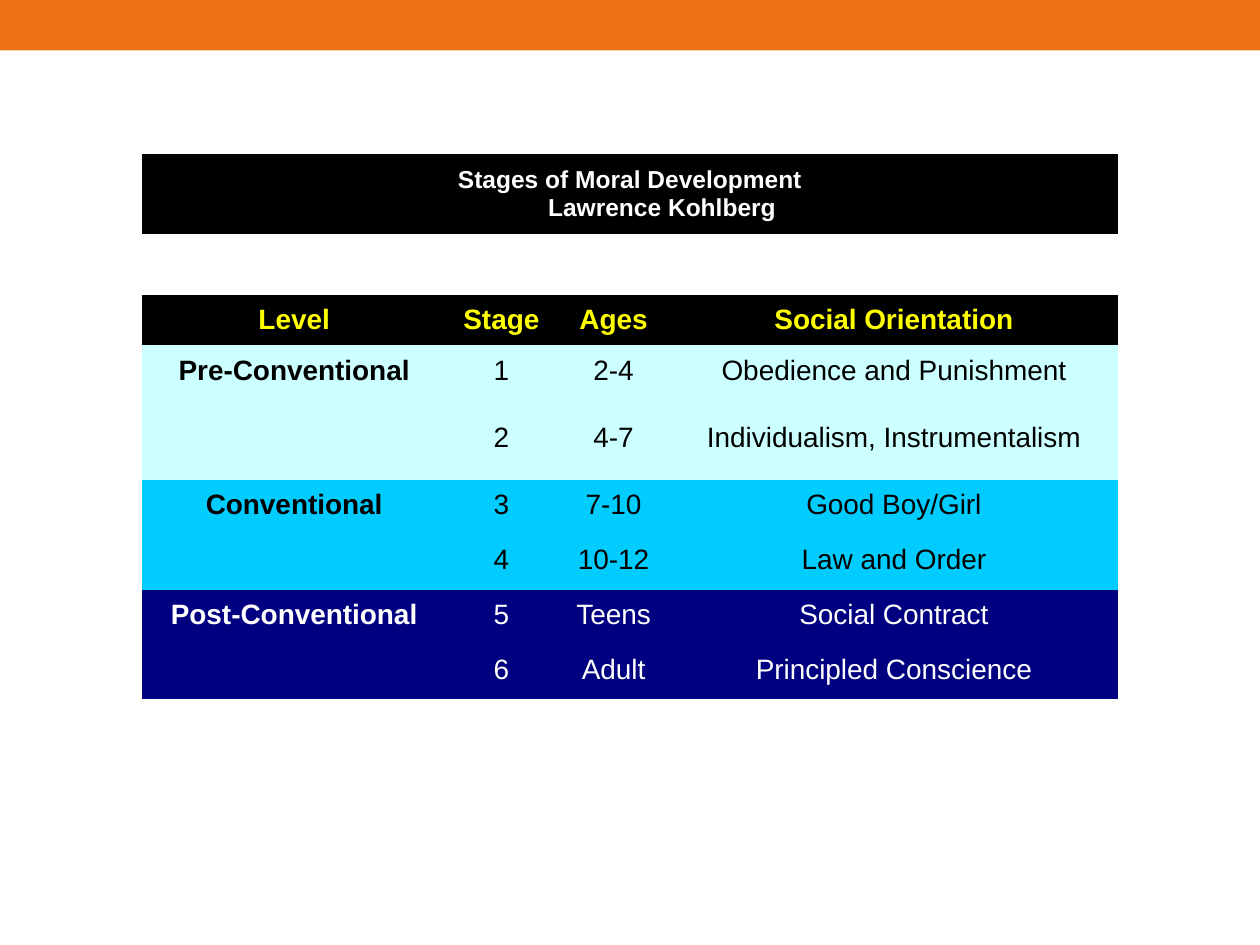
from dataclasses import dataclass

import pptx
import pptx.dml.color
import pptx.enum.shapes
import pptx.enum.text
import pptx.util

Inches = pptx.util.Inches


@dataclass(frozen=True)
class Theme:
    font: str = "Arial"
    title_size: int = 14
    body_size: int = 16
    bar: str = "ED7316"
    black: str = "000000"
    white: str = "FFFFFF"
    heading: str = "FFFF00"
    pre: str = "CCFFFF"
    conventional: str = "00CCFF"
    post: str = "000080"


THEME = Theme()
NO_GRID_STYLE = "{2D5ABB26-0587-4C30-8999-92F81FD0307C}"
COLUMN_WIDTHS = [2.41, 0.88, 0.9, 3.55]
HEADINGS = ["Level", "Stage", "Ages", "Social Orientation"]
BLANK_HEIGHT = 0.48

# Level name, fill, text colour, then its stages as (row height, ages, orientation)
LEVELS = [
    ("Pre-Conventional", THEME.pre, THEME.black,
     [(0.4, "2-4", "Obedience and Punishment"),
      (0.67, "4-7", "Individualism, Instrumentalism")]),
    ("Conventional", THEME.conventional, THEME.black,
     [(0.4, "7-10", "Good Boy/Girl"),
      (0.47, "10-12", "Law and Order")]),
    ("Post-Conventional", THEME.post, THEME.white,
     [(0.4, "Teens", "Social Contract"),
      (0.47, "Adult", "Principled Conscience")]),
]


def rgb(value):
    return pptx.dml.color.RGBColor.from_string(value)


def table_rows():
    """List each row as (height, texts, fill, text colour, size, bold columns)."""
    blank = (BLANK_HEIGHT, [""] * 4, None, THEME.black, THEME.body_size, 0)
    rows = [
        (0.64, ["Stages of Moral Development\vLawrence Kohlberg", "", "", ""],
         THEME.black, THEME.white, THEME.title_size, 4),
        blank,
        (0.4, HEADINGS, THEME.black, THEME.heading, THEME.body_size, 4),
    ]
    stage = 0
    for name, fill, color, stages in LEVELS:
        for index, (height, ages, orientation) in enumerate(stages):
            stage += 1
            texts = [name if index == 0 else "", str(stage), ages, orientation]
            rows.append((height, texts, fill, color, THEME.body_size, 1))
    return rows + [blank]


def format_cell(cell, text, fill, color, size, bold):
    cell.vertical_anchor = pptx.enum.text.MSO_ANCHOR.MIDDLE
    if fill:
        cell.fill.solid()
        cell.fill.fore_color.rgb = rgb(fill)
    else:
        cell.fill.background()
    cell.text = text
    paragraph = cell.text_frame.paragraphs[0]
    paragraph.alignment = pptx.enum.text.PP_ALIGN.CENTER
    # Hanging indent
    properties = paragraph._p.get_or_add_pPr()
    for name, length in {"marL": 0.51, "indent": -0.51}.items():
        properties.set(name, str(Inches(length)))
    values = {"name": THEME.font, "size": pptx.util.Pt(size), "bold": bold}
    for font in [paragraph.font] + [run.font for run in paragraph.runs]:
        for name, value in values.items():
            setattr(font, name, value)
        font.color.rgb = rgb(color)


def add_top_bar(slide, left, top, width, height):
    shape = slide.shapes.add_shape(
        pptx.enum.shapes.MSO_SHAPE.RECTANGLE,
        Inches(left), Inches(top), Inches(width), Inches(height))
    shape.shadow.inherit = False
    shape.fill.solid()
    shape.fill.fore_color.rgb = rgb(THEME.bar)
    shape.line.fill.background()


def add_stage_table(slide, left, top, width):
    rows = table_rows()
    height = sum(row[0] for row in rows)
    table = slide.shapes.add_table(
        len(rows), len(COLUMN_WIDTHS),
        Inches(left), Inches(top), Inches(width), Inches(height)).table
    table.first_row = table.horz_banding = False
    table._tbl.tblPr[0].text = NO_GRID_STYLE
    for column, column_width in zip(table.columns, COLUMN_WIDTHS):
        column.width = Inches(column_width)
    for row, (row_height, texts, fill, color, size, bold_count) in zip(table.rows, rows):
        row.height = Inches(row_height)
        for index, (cell, text) in enumerate(zip(row.cells, texts)):
            format_cell(cell, text, fill, color, size, index < bold_count)
    # The title spans the full width
    table.cell(0, 0).merge(table.cell(0, len(COLUMN_WIDTHS) - 1))


def main():
    presentation = pptx.Presentation()
    presentation.slide_width = Inches(10)
    presentation.slide_height = Inches(7.5)
    slide = presentation.slides.add_slide(presentation.slide_layouts[6])
    add_top_bar(slide, 0, 0, 10, 0.4)
    add_stage_table(slide, 1.13, 1.22, sum(COLUMN_WIDTHS))
    presentation.save("out.pptx")


if __name__ == "__main__":
    main()
